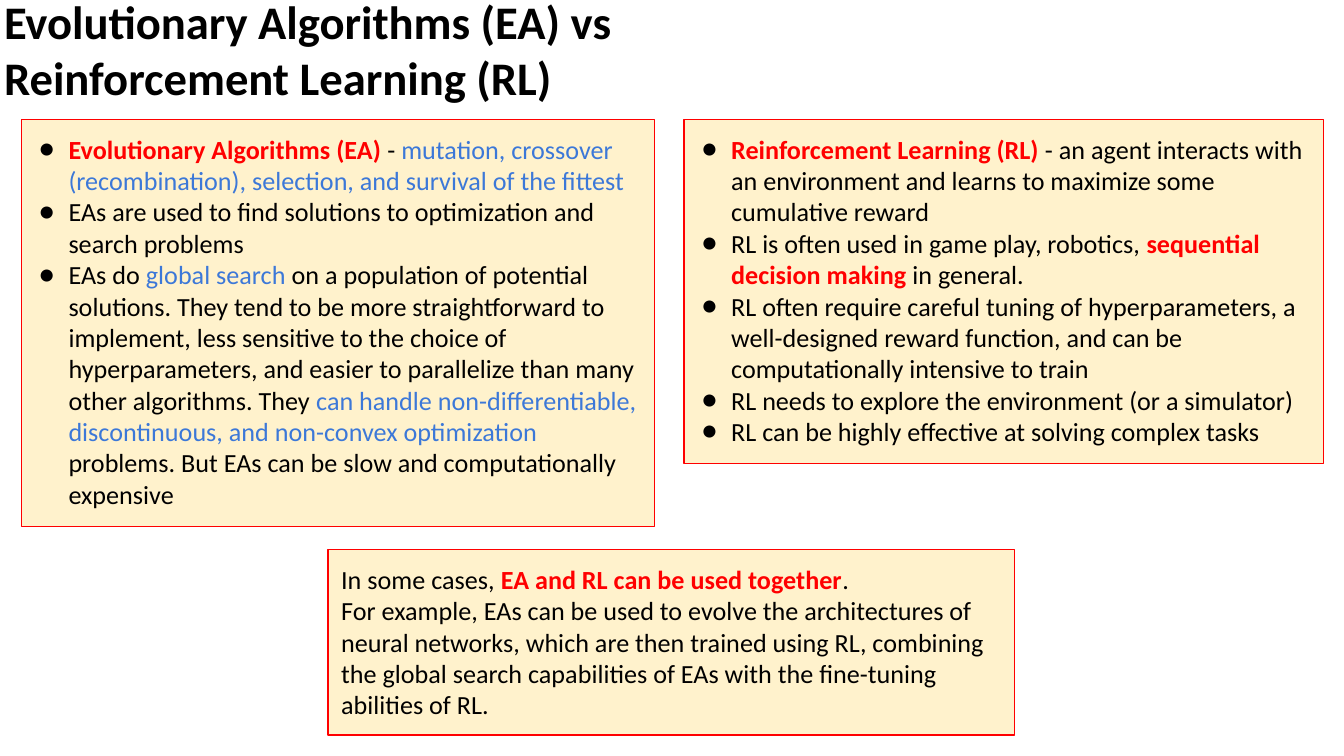
from lxml.etree import SubElement
from pptx import Presentation
from pptx.dml.color import RGBColor
from pptx.enum.shapes import MSO_SHAPE
from pptx.enum.text import MSO_ANCHOR, MSO_AUTO_SIZE, PP_ALIGN
from pptx.oxml.ns import qn
from pptx.util import Inches, Pt

BLACK, RED, BLUE, CREAM = "000000", "FF0000", "3C78D8", "FFF2CC"

EA_POINTS = [
    [("Evolutionary Algorithms (EA)", RED), (" - ", BLACK),
     ("mutation, crossover (recombination), selection, and survival of the fittest", BLUE)],
    [("EAs are used to find solutions to optimization and search problems", BLACK)],
    [("EAs do ", BLACK), ("global search", BLUE),
     (" on a population of potential solutions. They tend to be more straightforward to "
      "implement, less sensitive to the choice of hyperparameters, and easier to "
      "parallelize than many other algorithms. They ", BLACK),
     ("can handle non-differentiable, discontinuous, and non-convex optimization", BLUE),
     (" problems. But EAs can be slow and computationally expensive", BLACK)],
]
RL_POINTS = [
    [("Reinforcement Learning (RL)", RED),
     (" - an agent interacts with an environment and learns to maximize some "
      "cumulative reward", BLACK)],
    [("RL is often used in game play, robotics, ", BLACK),
     ("sequential decision making ", RED), ("in general.", BLACK)],
    [("RL often require careful tuning of hyperparameters, a well-designed reward "
      "function, and can be computationally intensive to train", BLACK)],
    [("RL needs to explore the environment (or a simulator)", BLACK)],
    [("RL can be highly effective at solving complex tasks", BLACK)],
]
TOGETHER = [
    [("In some cases, ", BLACK), ("EA and RL can be used together", RED), (".", BLACK)],
    [("For example, EAs can be used to evolve the architectures of neural networks, "
      "which are then trained using RL, combining the global search capabilities of "
      "EAs with the fine-tuning abilities of RL.", BLACK)],
]


def rgb(color):
    """Turn a hex string into a colour."""
    return RGBColor.from_string(color)


def add_run(p, text, size=14, color=BLACK, bold=False):
    """Append a formatted run to a paragraph."""
    r = p.add_run()
    r.text = text
    r.font.name = "Calibri"
    r.font.size = Pt(size)
    r.font.bold = bold
    r.font.color.rgb = rgb(color)


def add_bullet(p):
    """Give a paragraph a hanging round black bullet."""
    pPr = p._p.get_or_add_pPr()
    pPr.set("marL", str(Inches(0.25)))
    pPr.set("indent", str(Inches(-0.22)))
    SubElement(SubElement(pPr, qn("a:buClr")), qn("a:srgbClr"), val=BLACK)
    SubElement(pPr, qn("a:buFont"), typeface="Calibri")
    SubElement(pPr, qn("a:buChar"), char="●")


def place(sp, left, top, width, height):
    """Position a shape and set up its text frame."""
    sp.left, sp.top = Inches(left), Inches(top)
    sp.width, sp.height = Inches(width), Inches(height)
    tf = sp.text_frame
    tf.word_wrap = True
    tf.auto_size = MSO_AUTO_SIZE.NONE
    tf.vertical_anchor = MSO_ANCHOR.TOP
    tf.margin_left = tf.margin_right = tf.margin_top = tf.margin_bottom = Inches(0.1)
    return tf


def fill_title(sp, text, *box):
    """Write the slide title."""
    p = place(sp, *box).paragraphs[0]
    p.alignment = PP_ALIGN.LEFT
    add_run(p, text, size=25, bold=True)


def fill_panel(sp, paragraphs, *box, bullets=False):
    """Style a cream panel with a red border and write its paragraphs."""
    tf = place(sp, *box)
    sp.shadow.inherit = False
    sp.fill.solid()
    sp.fill.fore_color.rgb = rgb(CREAM)
    sp.line.color.rgb = rgb(RED)
    sp.line.width = Pt(0.75)
    for i, runs in enumerate(paragraphs):
        p = tf.add_paragraph() if i else tf.paragraphs[0]
        p.alignment = PP_ALIGN.LEFT
        p.space_before = Pt(0)
        if bullets:
            add_bullet(p)
        for text, color in runs:
            add_run(p, text, color=color, bold=color == RED)


def main():
    """Build the comparison slide."""
    prs = Presentation()
    prs.slide_width, prs.slide_height = Inches(10), Inches(10 * 9 / 16)
    s = prs.slides.add_slide(prs.slide_layouts[3])
    title, ea, rl = s.placeholders
    fill_title(title, "Evolutionary Algorithms (EA) vs Reinforcement Learning (RL)",
               -0.07, -0.15, 5.16, 1.04)
    fill_panel(ea, EA_POINTS, 0.16, 0.89, 4.71, 3.03, bullets=True)
    fill_panel(rl, RL_POINTS, 5.09, 0.89, 4.76, 2.56, bullets=True)
    together = s.shapes.add_shape(MSO_SHAPE.RECTANGLE, 0, 0, 0, 0)
    fill_panel(together, TOGETHER, 2.44, 4.09, 5.11, 1.38)
    prs.save("out.pptx")


if __name__ == "__main__":
    main()
